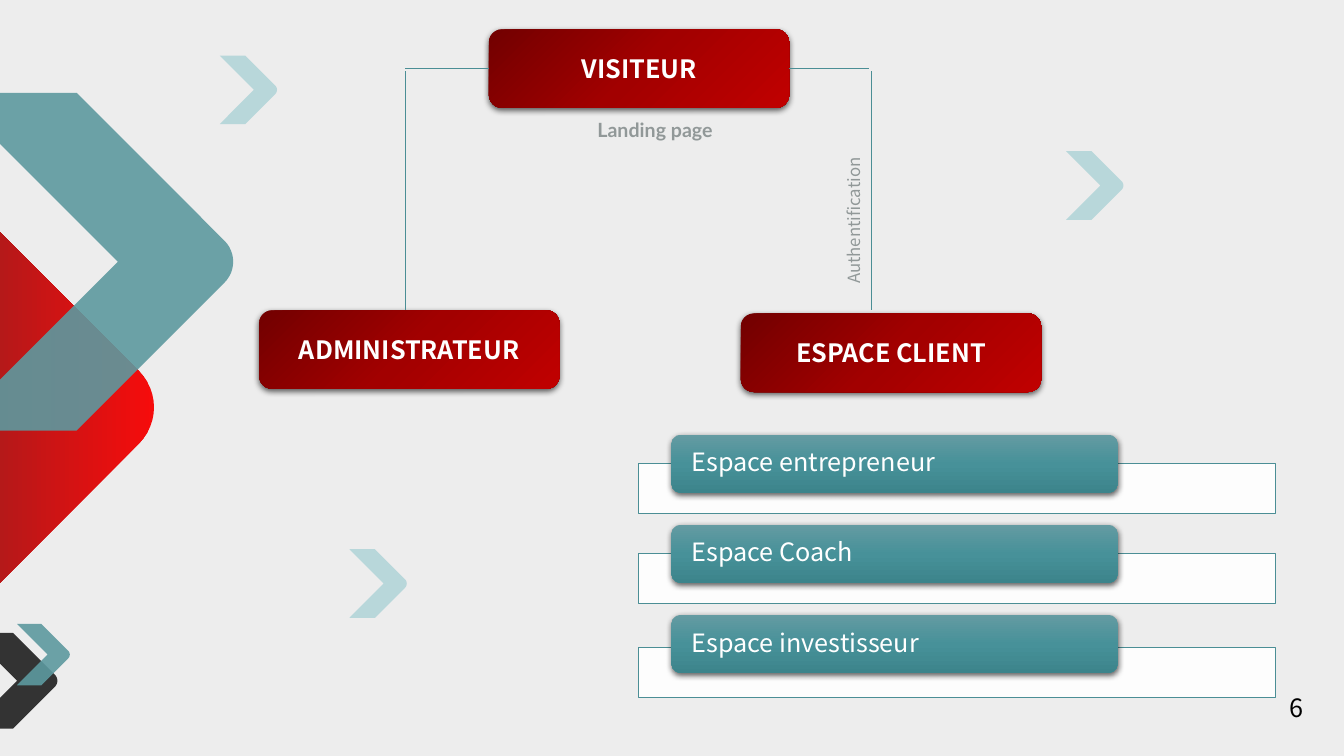
from lxml import etree
from pptx import Presentation
from pptx import util as u
from pptx.dml.color import RGBColor
from pptx.enum import shapes, text
from pptx.oxml.ns import qn

SANS = "Noto Sans CJK SC"
TEAL_LINE, GREY, WHITE = "4B8E95", "919898", "FFFFFF"
RED_STOPS = [(0, "720000"), (50, "A20000"), (100, "C00000")]
TEAL_STOPS = [(0, "649BA2"), (50, "479199"), (100, "3C848B")]
FADE_STOPS = [(0, "F60C0C"), (100, "323234")]


def color(value):
    return RGBColor.from_string(value)


def fill_solid(shape, value, opacity=100):
    shape.fill.solid()
    shape.fill.fore_color.rgb = color(value)
    if opacity < 100:
        tint = shape.fill._xPr.find(".//" + qn("a:srgbClr"))
        etree.SubElement(tint, qn("a:alpha"), val=str(opacity * 1000))


def fill_gradient(shape, stops, clockwise):
    shape.fill.gradient()
    shape.fill.gradient_angle = (360 - clockwise) % 360
    stop_list = shape._element.spPr.find(".//" + qn("a:gsLst"))
    for old_stop in list(stop_list):
        stop_list.remove(old_stop)
    for position, value in stops:
        stop = etree.SubElement(stop_list, qn("a:gs"), pos=str(position * 1000))
        etree.SubElement(stop, qn("a:srgbClr"), val=value)


def add_shadow(shape):
    effects = shape._element.spPr.find(qn("a:effectLst"))
    shadow = etree.SubElement(effects, qn("a:outerShdw"), blurRad=str(u.Pt(4.5)),
                              dist=str(u.Pt(1.5)), dir="5400000", rotWithShape="0")
    black = etree.SubElement(shadow, qn("a:srgbClr"), val="000000")
    etree.SubElement(black, qn("a:alpha"), val="63000")


def add_box(page, kind, left, top, width, height):
    box = page.shapes.add_shape(kind, u.Cm(left), u.Cm(top), u.Cm(width), u.Cm(height))
    box.shadow.inherit = False
    box.line.fill.background()
    return box


def write(box, words, size, value, align=text.PP_ALIGN.CENTER, bold=False, font=SANS):
    para = box.text_frame.paragraphs[0]
    para.text = words
    para.alignment = align
    para.font.name, para.font.size, para.font.bold = font, u.Pt(size), bold
    para.font.color.rgb = color(value)
    return para


def add_role(page, label, left, top):
    box = add_box(page, shapes.MSO_SHAPE.ROUNDED_RECTANGLE, left, top, 7.57, 1.98)
    fill_gradient(box, RED_STOPS, 45)
    add_shadow(box)
    box.text_frame.vertical_anchor = text.MSO_ANCHOR.MIDDLE
    write(box, label, 18, WHITE, bold=True)


def add_client_space(page, label, pill_top, strip_top):
    strip = add_box(page, shapes.MSO_SHAPE.RECTANGLE, 16.1, strip_top, 16.05, 1.27)
    fill_solid(strip, WHITE, 90)
    strip.line.color.rgb = color(TEAL_LINE)
    strip.line.width = u.Pt(0.5)
    pill = add_box(page, shapes.MSO_SHAPE.ROUNDED_RECTANGLE, 16.92, pill_top, 11.25, 1.47)
    fill_gradient(pill, TEAL_STOPS, 90)
    add_shadow(pill)
    frame = pill.text_frame
    frame.vertical_anchor = text.MSO_ANCHOR.MIDDLE
    frame.margin_left = frame.margin_right = u.Cm(0.44)
    frame.margin_top = frame.margin_bottom = 0
    para = write(pill, label, 18, WHITE, text.PP_ALIGN.LEFT)
    para.line_spacing = 0.9


def add_line(page, x1, y1, x2, y2):
    line = page.shapes.add_connector(shapes.MSO_CONNECTOR.STRAIGHT,
                                     u.Cm(x1), u.Cm(y1), u.Cm(x2), u.Cm(y2))
    line.line.color.rgb = color(TEAL_LINE)
    line.line.width = u.Pt(0.5)
    etree.SubElement(line._element.spPr, qn("a:effectLst"))


def add_text(page, left, top, width, height, wrap=True):
    box = page.shapes.add_textbox(u.Cm(left), u.Cm(top), u.Cm(width), u.Cm(height))
    box.text_frame.word_wrap = wrap
    return box


def add_chevron(page, left, top, height, arm, notch):
    """Right-pointing 45-degree chevron; arm and notch are x positions."""
    middle, bottom = top + height / 2, top + height
    cut = 0.0625 * height
    bend = arm + height / 2 - cut
    steps = 12
    points = [(left, top), (arm, top)]
    for step in range(steps + 1):  # rounded tip
        t = step / steps
        points.append((bend + 3 * t * (1 - t) * 0.56 * cut,
                       middle - cut * (1 - t) ** 3 - 1.32 * cut * t * (1 - t) ** 2
                       + 1.32 * cut * t ** 2 * (1 - t) + cut * t ** 3))
    reach = notch - left
    points += [(arm, bottom), (left, bottom), (left, middle + reach),
               (notch, middle), (left, middle - reach)]
    points = [(u.Cm(x), u.Cm(y)) for x, y in points]
    builder = page.shapes.build_freeform(*points[0])
    builder.add_line_segments(points[1:])
    chevron = builder.convert_to_shape()
    chevron.shadow.inherit = False
    chevron.line.fill.background()
    return chevron


def main():
    deck = Presentation()
    deck.slide_width, deck.slide_height = u.Cm(33.87), u.Cm(19.05)
    page = deck.slides.add_slide(deck.slide_layouts[6])
    page.background.fill.solid()
    page.background.fill.fore_color.rgb = color("EDEDED")

    # Corner chevrons
    fill_solid(add_chevron(page, -0.46, 15.95, 2.41, 0.33, 0.43), "333333")
    fill_solid(add_chevron(page, 0.43, 15.72, 1.55, 1.04, 1.2), "5D999F", 90)

    # Light chevrons
    for left, top in [(8.81, 13.84), (26.87, 3.81), (5.54, 1.4)]:
        light = add_chevron(page, left, top, 1.73, left + 0.64, left + 0.86)
        fill_solid(light, "B3D5D9", 90)

    # Roles and their links
    add_role(page, "VISITEUR", 12.32, 0.74)
    add_role(page, "ADMINISTRATEUR", 6.53, 7.82)
    add_role(page, "ESPACE CLIENT", 18.67, 7.9)
    for ends in [(12.32, 1.73, 10.21, 1.73), (10.21, 1.8, 10.21, 7.82),
                 (19.89, 1.73, 21.89, 1.73), (21.95, 1.8, 21.95, 7.82)]:
        add_line(page, *ends)

    # Client spaces
    spaces = [("Espace entrepreneur", 11.68), ("Espace Coach", 13.94),
              ("Espace investisseur", 16.31)]
    for row, (label, strip_top) in enumerate(spaces):
        add_client_space(page, label, 10.95 + 2.27 * row, strip_top)

    # Captions
    landing = add_text(page, 13.54, 2.84, 5.94, 1.96)
    write(landing, "Landing page", 14, GREY, bold=True, font="Lato")
    login = add_text(page, 18.54, 5.18, 5.94, 0.76)
    login.rotation = 270
    write(login, "Authentification", 12, GREY)

    # Large chevrons
    fill_gradient(add_chevron(page, -7.72, 2.9, 14.73, -2.95, -2.18), FADE_STOPS, 180)
    fill_solid(add_chevron(page, -1.3, 2.34, 8.51, 1.93, 2.97), "5D999F", 90)

    # Page number
    number = add_text(page, 32.26, 17.32, 0.71, 1.02, wrap=False)
    write(number, "6", 18, "000000", text.PP_ALIGN.LEFT)

    deck.save("out.pptx")


if __name__ == "__main__":
    main()
